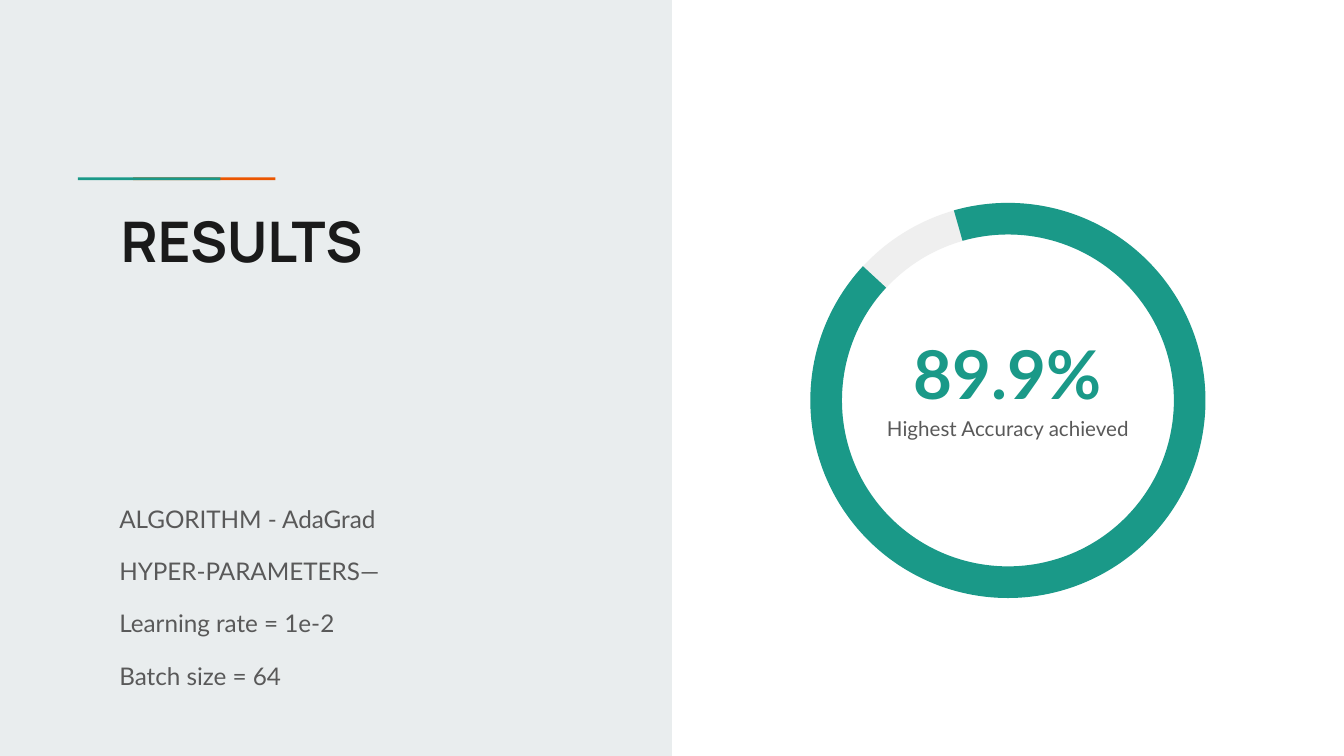
from dataclasses import dataclass

from pptx import Presentation
from pptx.dml.color import RGBColor
from pptx.enum.shapes import MSO_SHAPE
from pptx.enum.text import MSO_ANCHOR, MSO_AUTO_SIZE, PP_ALIGN
from pptx.util import Inches, Pt

RECTANGLE, BLOCK_ARC = MSO_SHAPE.RECTANGLE, MSO_SHAPE.BLOCK_ARC
TOP, NO_FIT = MSO_ANCHOR.TOP, MSO_AUTO_SIZE.NONE
LEFT, CENTER = PP_ALIGN.LEFT, PP_ALIGN.CENTER

TEAL = RGBColor(0x1A, 0x99, 0x88)
ORANGE = RGBColor(0xEB, 0x56, 0x00)
PANEL_GRAY = RGBColor(0xE9, 0xED, 0xEE)
RING_GRAY = RGBColor(0xEF, 0xEF, 0xEF)
INK = RGBColor(0x1A, 0x1A, 0x1A)
TEXT_GRAY = RGBColor(0x59, 0x59, 0x59)

SLIDE_WIDTH = 10
SLIDE_HEIGHT = SLIDE_WIDTH * 9 / 16
RING_BOX = (6.03, 1.51, 2.94, 2.94)
RING_THICKNESS = 0.08
ANGLE_UNIT = 0.6  # normalised adjustment value per degree


@dataclass(frozen=True)
class Block:
    box: tuple[float, float, float, float]
    color: RGBColor


@dataclass(frozen=True)
class RingArc:
    """Arc running clockwise from start to end, in degrees from three o'clock."""
    start: float
    end: float
    color: RGBColor
    rotation: float = 0


@dataclass(frozen=True)
class Copy:
    box: tuple[float, float, float, float]
    lines: tuple[str, ...]
    font: dict
    align: PP_ALIGN = LEFT
    line_spacing: float = 1.15
    gap: float = 0


BLOCKS = [
    Block((0, 0, SLIDE_WIDTH / 2, SLIDE_HEIGHT), PANEL_GRAY),
    Block((0.99, 1.32, 1.06, 0.02), ORANGE),
    Block((0.58, 1.32, 1.06, 0.02), TEAL),
]
RING_REST = RingArc(43.8, 98.01, RING_GRAY, 176.5)
RING_ACCURACY = RingArc(254.13, 222.79, TEAL)
TITLE = Copy((0.8, 1.44, 3.61, 1.85), ("RESULTS",),
             {"name": "Manrope", "size": Pt(30), "bold": True, "color": INK},
             line_spacing=1)
SETTINGS = Copy((0.79, 3.62, 3.36, 1.51),
                ("ALGORITHM - AdaGrad", "HYPER-PARAMETERS—",
                 "Learning rate = 1e-2", "Batch size = 64"),
                {"name": "Lato", "size": Pt(13), "color": TEXT_GRAY}, gap=10)
ACCURACY = Copy((6.6, 2.28, 1.79, 0.7), ("89.9%",),
                {"name": "Lato", "size": Pt(36), "bold": True, "color": TEAL}, CENTER)
CAPTION = Copy((6.43, 2.97, 2.14, 0.83), ("Highest Accuracy achieved",),
               {"name": "Lato", "size": Pt(11), "color": TEXT_GRAY}, CENTER)


def add_filled(slide, kind: MSO_SHAPE, box: tuple, color: RGBColor):
    shape = slide.shapes.add_shape(kind, *map(Inches, box))
    shape.shadow.inherit = False
    shape.fill.solid()
    shape.fill.fore_color.rgb = color
    shape.line.fill.background()
    return shape


def add_ring_arc(slide, arc: RingArc) -> None:
    shape = add_filled(slide, BLOCK_ARC, RING_BOX, arc.color)
    shape.rotation = arc.rotation
    values = (arc.start * ANGLE_UNIT, arc.end * ANGLE_UNIT, RING_THICKNESS)
    for index, value in enumerate(values):
        shape.adjustments[index] = value


def write_copy(holder, copy: Copy) -> None:
    """Place a title or text box and fill it with formatted lines."""
    for side, length in zip(("left", "top", "width", "height"), copy.box):
        setattr(holder, side, Inches(length))
    frame = holder.text_frame
    frame_format = {"word_wrap": True, "auto_size": NO_FIT, "vertical_anchor": TOP}
    for margin in ("left", "top", "right", "bottom"):
        frame_format[f"margin_{margin}"] = Inches(0.1)
    for attribute, value in frame_format.items():
        setattr(frame, attribute, value)
    for index, line in enumerate(copy.lines):
        paragraph = frame.add_paragraph() if index else frame.paragraphs[0]
        paragraph.alignment = copy.align
        paragraph.line_spacing = copy.line_spacing
        paragraph.space_before = Pt(copy.gap if index else 0)
        run = paragraph.add_run()
        run.text = line
        for attribute, value in copy.font.items():
            if attribute == "color":
                run.font.color.rgb = value
            else:
                setattr(run.font, attribute, value)


def add_copy(slide, copy: Copy) -> None:
    write_copy(slide.shapes.add_textbox(*map(Inches, copy.box)), copy)


def main() -> None:
    deck = Presentation()
    deck.slide_width, deck.slide_height = Inches(SLIDE_WIDTH), Inches(SLIDE_HEIGHT)
    slide = deck.slides.add_slide(deck.slide_layouts[5])
    title = slide.shapes.title
    write_copy(title, TITLE)
    for block in BLOCKS:
        add_filled(slide, RECTANGLE, block.box, block.color)
    add_ring_arc(slide, RING_REST)
    # The placeholder comes first on the slide; lift it above the panel.
    slide.shapes[-1].element.addnext(title.element)
    add_copy(slide, SETTINGS)
    add_copy(slide, ACCURACY)
    add_ring_arc(slide, RING_ACCURACY)
    add_copy(slide, CAPTION)
    deck.save("out.pptx")


if __name__ == "__main__":
    main()
